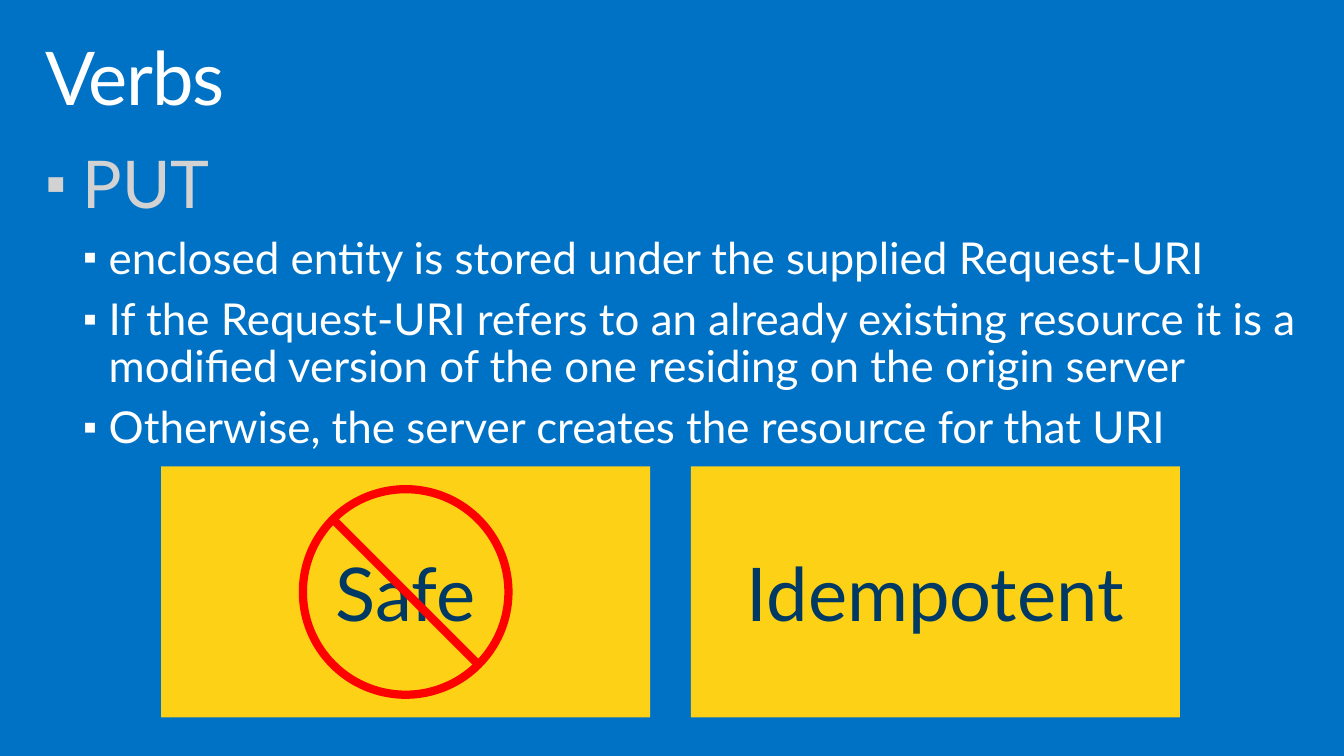
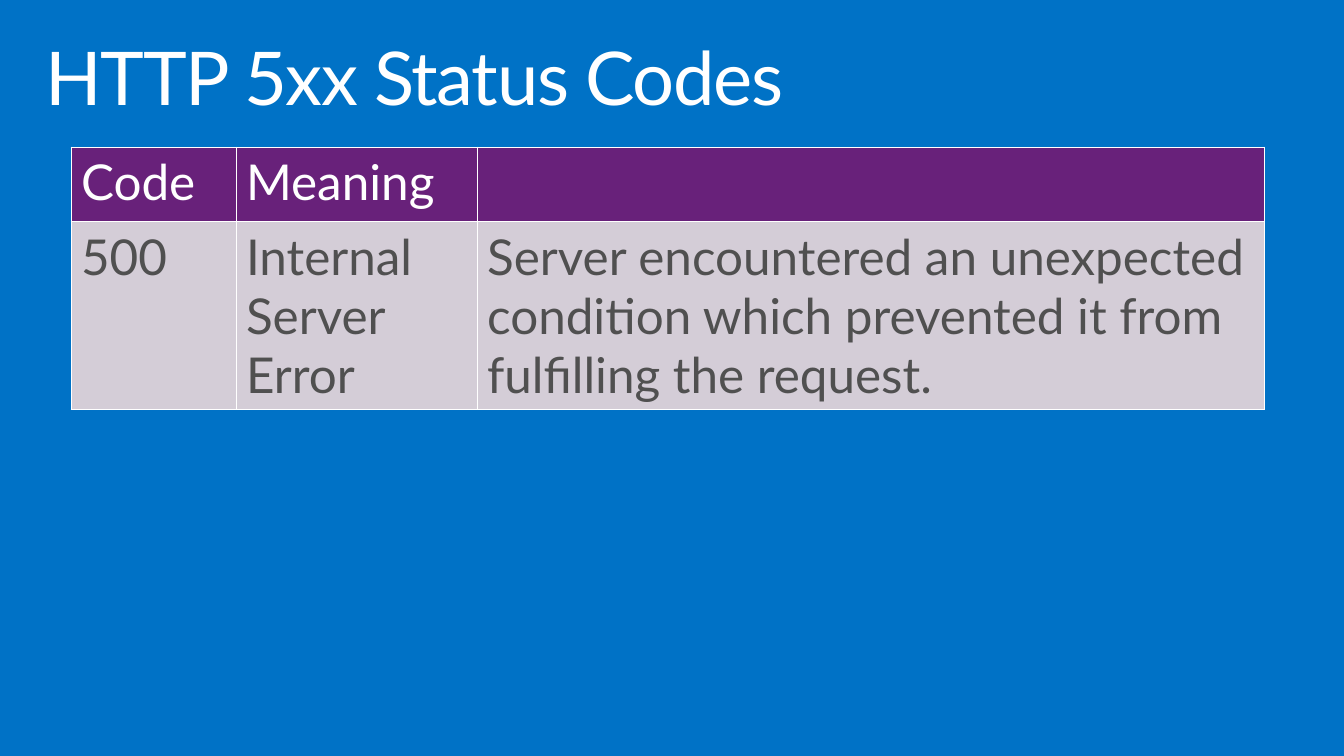
from dataclasses import dataclass
from math import sqrt

from lxml.etree import SubElement
from pptx import Presentation
from pptx.dml.color import RGBColor
from pptx.enum.shapes import MSO_CONNECTOR, MSO_SHAPE
from pptx.enum.text import MSO_ANCHOR, MSO_AUTO_SIZE, PP_ALIGN
from pptx.oxml.ns import qn
from pptx.util import Emu, Pt

EMU_PER_PX = 9144  # 100 px to the inch
TITLE_AND_CONTENT, TITLE_ONLY = 1, 5


@dataclass(frozen=True)
class Theme:
    font: str = "Lato"
    background: str = "0072C6"
    light: str = "FFFFFF"
    heading: str = "D2D2D2"
    tile: str = "FCD116"
    tile_text: str = "003963"
    prohibited: str = "FF0000"
    table_header: str = "68217A"
    table_body: str = "D4CDD7"
    table_text: str = "505050"
    title_size: int = 54
    heading_size: int = 48
    point_size: int = 32
    table_size: int = 36


THEME = Theme()


def px(value):
    return Emu(round(value * EMU_PER_PX))


def color(value):
    return RGBColor.from_string(value)


def add_run(paragraph, text, size, text_color):
    run = paragraph.add_run()
    run.text = text
    run.font.name = THEME.font
    run.font.size = Pt(size)
    run.font.bold = False
    run.font.color.rgb = color(text_color)
    return run


def place(shape, left, top, width, height):
    shape.left, shape.top = px(left), px(top)
    shape.width, shape.height = px(width), px(height)


def set_frame(text_frame, side, end, anchor, auto_size=MSO_AUTO_SIZE.NONE):
    """Set the insets (sides, then top and bottom), anchor and fitting of a frame."""
    text_frame.margin_left = text_frame.margin_right = px(side)
    text_frame.margin_top = text_frame.margin_bottom = px(end)
    text_frame.vertical_anchor = anchor
    text_frame.auto_size = auto_size
    text_frame.word_wrap = True


def add_titled_slide(presentation, layout_index, title):
    slide = presentation.slides.add_slide(presentation.slide_layouts[layout_index])
    shape = slide.shapes.title
    place(shape, 30, 32, 1300, 100)
    set_frame(shape.text_frame, 16, 10, MSO_ANCHOR.TOP)
    paragraph = shape.text_frame.paragraphs[0]
    paragraph.alignment = PP_ALIGN.LEFT
    paragraph.line_spacing = 0.9
    run = add_run(paragraph, title, THEME.title_size, THEME.light)
    run.font._element.set("spc", "-100")
    return slide


def set_bullet(paragraph, bullet_color, margin, hanging):
    properties = paragraph._p.get_or_add_pPr()
    properties.set("marL", str(px(margin)))
    properties.set("indent", str(px(-hanging)))
    fill = SubElement(properties, qn("a:buClr"))
    SubElement(fill, qn("a:srgbClr"), val=bullet_color)
    SubElement(properties, qn("a:buSzPct"), val="90000")
    SubElement(properties, qn("a:buFont"), typeface="Arial")
    SubElement(properties, qn("a:buChar"), char="▪")


def fill_body(slide, heading, points):
    body = slide.placeholders[1]
    place(body, 30, 143, 1330, 329)
    text_frame = body.text_frame
    set_frame(text_frame, 16, 10, MSO_ANCHOR.TOP, MSO_AUTO_SIZE.SHAPE_TO_FIT_TEXT)
    for index, text in enumerate([heading, *points]):
        if index == 0:
            paragraph = text_frame.paragraphs[0]
            level, size, text_color = 0, THEME.heading_size, THEME.heading
            margin, hanging, space = 38, 38, 0
        else:
            paragraph = text_frame.add_paragraph()
            level, size, text_color = 1, THEME.point_size, THEME.light
            margin, hanging, space = 64, 26, 10
        set_bullet(paragraph, text_color, margin, hanging)
        paragraph.level = level
        paragraph.line_spacing = 0.9
        paragraph.space_before = Pt(space)
        add_run(paragraph, text, size, text_color)


def add_tile(slide, text, left, top, width, height):
    tile = slide.shapes.add_shape(
        MSO_SHAPE.RECTANGLE, px(left), px(top), px(width), px(height))
    tile.shadow.inherit = False
    tile.fill.solid()
    tile.fill.fore_color.rgb = color(THEME.tile)
    tile.line.fill.background()
    set_frame(tile.text_frame, 0, 5, MSO_ANCHOR.MIDDLE)
    paragraph = tile.text_frame.paragraphs[0]
    paragraph.alignment = PP_ALIGN.CENTER
    add_run(paragraph, text, THEME.title_size, THEME.tile_text)


def add_prohibition_sign(slide, center_x, center_y, radius):
    sign = slide.shapes.add_group_shape()
    ring = sign.shapes.add_shape(
        MSO_SHAPE.OVAL, px(center_x - radius), px(center_y - radius),
        px(2 * radius), px(2 * radius))
    ring.shadow.inherit = False
    ring.fill.background()
    reach = radius / sqrt(2)
    bar = sign.shapes.add_connector(
        MSO_CONNECTOR.STRAIGHT, px(center_x - reach), px(center_y - reach),
        px(center_x + reach), px(center_y + reach))
    for part in (ring, bar):
        part.line.color.rgb = color(THEME.prohibited)
        part.line.width = Pt(6)
    SubElement(bar._element.spPr, qn("a:effectLst"))


def set_borders(cell):
    properties = cell._tc.get_or_add_tcPr()
    for index, side in enumerate(("a:lnL", "a:lnR", "a:lnT", "a:lnB")):
        line = properties.makeelement(qn(side), {"w": str(Pt(1))})
        fill = SubElement(line, qn("a:solidFill"))
        SubElement(fill, qn("a:srgbClr"), val=THEME.light)
        properties.insert(index, line)


def add_status_table(slide, rows, left, top, column_widths, row_heights):
    table = slide.shapes.add_table(
        len(rows), len(column_widths), px(left), px(top),
        px(sum(column_widths)), px(sum(row_heights))).table
    table.first_row = table.horz_banding = False
    for column, width in zip(table.columns, column_widths):
        column.width = px(width)
    for row_index, (texts, height) in enumerate(zip(rows, row_heights)):
        table.rows[row_index].height = px(height)
        if row_index == 0:
            fill_color, text_color = THEME.table_header, THEME.light
        else:
            fill_color, text_color = THEME.table_body, THEME.table_text
        for column_index, text in enumerate(texts):
            cell = table.cell(row_index, column_index)
            cell.fill.solid()
            cell.fill.fore_color.rgb = color(fill_color)
            set_borders(cell)
            if text:
                add_run(cell.text_frame.paragraphs[0], text,
                        THEME.table_size, text_color)


def build_verbs_slide(presentation):
    slide = add_titled_slide(presentation, TITLE_AND_CONTENT, "Verbs")
    fill_body(slide, "PUT", [
        "enclosed entity is stored under the supplied Request-URI",
        "If the Request-URI refers to an already existing resource it is a "
        "modified version of the one residing on the origin server",
        "Otherwise, the server creates the resource for that URI",
    ])
    left, top, width, height, gap = 163, 472, 495, 254, 41
    for index, text in enumerate(("Safe", "Idempotent")):
        add_tile(slide, text, left + index * (width + gap), top, width, height)
    add_prohibition_sign(slide, left + width / 2, top + height / 2, 104)


def build_status_slide(presentation):
    slide = add_titled_slide(presentation, TITLE_ONLY, "HTTP 5xx Status Codes")
    rows = [
        ("Code", "Meaning", ""),
        ("500", "Internal Server Error",
         "Server encountered an unexpected condition which prevented it from "
         "fulfilling the request."),
    ]
    add_status_table(slide, rows, 72, 149, (167, 244, 797), (75, 190))


def main():
    presentation = Presentation()
    presentation.slide_width, presentation.slide_height = px(1360), px(765)
    background = presentation.slide_master.background.fill
    background.solid()
    background.fore_color.rgb = color(THEME.background)
    build_verbs_slide(presentation)
    build_status_slide(presentation)
    presentation.save("out.pptx")


if __name__ == "__main__":
    main()
